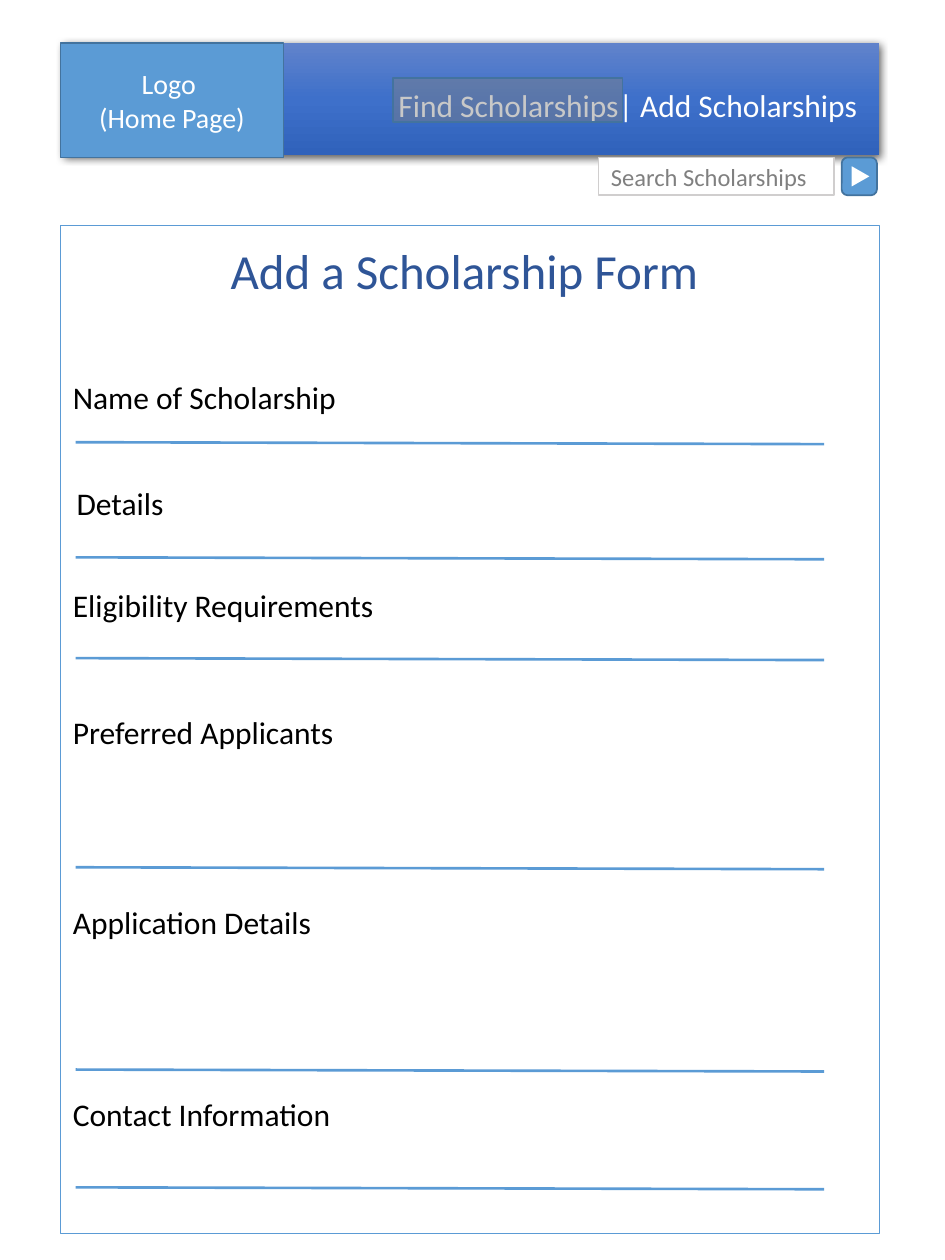
import copy
from dataclasses import dataclass

import lxml.etree
import pptx
import pptx.dml.color
import pptx.enum.shapes
import pptx.enum.text
import pptx.oxml
import pptx.oxml.ns
import pptx.util

Pt = pptx.util.Pt
SHAPE = pptx.enum.shapes.MSO_SHAPE
ALIGN = pptx.enum.text.PP_ALIGN
ANCHOR = pptx.enum.text.MSO_ANCHOR
FIT = pptx.enum.text.MSO_AUTO_SIZE
qn = pptx.oxml.ns.qn


@dataclass(frozen=True)
class Theme:
    font: str = "Calibri"
    white: str = "FFFFFF"
    black: str = "000000"
    blue: str = "5B9BD5"
    edge: str = "43739E"
    title: str = "2F5597"
    grey: str = "808080"
    pale: str = "D0CECE"
    banner: tuple[str, ...] = ("6183CB", "3E70CA", "3062BB")
    title_size: int = 28
    body_size: int = 18
    logo_size: int = 16
    search_size: int = 14
    border: float = 1
    rule: float = 1.5


@dataclass(frozen=True)
class Box:
    left: float
    top: float
    width: float
    height: float


@dataclass(frozen=True)
class Field:
    label: str
    top: float
    width: float
    rule_top: float
    left: float = 34.56


THEME = Theme()
RULE_LEFT, RULE_RIGHT, RULE_DROP = 43.2, 470.9, 1.1
FIELDS = [
    Field("Name of Scholarship", 212.4, 166.3, 252.7),
    Field("Details", 272.9, 64.8, 318.5, left=36.72),
    Field("Eligibility Requirements", 331.2, 187.9, 376.1),
    Field("Preferred Applicants", 403.9, 169.2, 495.6),
    Field("Application Details", 512.6, 152.6, 611.2),
    Field("Contact Information", 622.1, 163.4, 678.5),
]


def rgb(color: str) -> pptx.dml.color.RGBColor:
    return pptx.dml.color.RGBColor.from_string(color)


def place(sp, box: Box) -> None:
    sp.left, sp.top = Pt(box.left), Pt(box.top)
    sp.width, sp.height = Pt(box.width), Pt(box.height)


def add_box(s, box: Box, fill: str, line: str | None = None, kind=SHAPE.RECTANGLE):
    sp = s.shapes.add_shape(kind, 0, 0, 0, 0)
    place(sp, box)
    sp.shadow.inherit = False
    sp.fill.solid()
    sp.fill.fore_color.rgb = rgb(fill)
    if line:
        sp.line.color.rgb = rgb(line)
        sp.line.width = Pt(THEME.border)
    else:
        sp.line.fill.background()
    return sp


def write(sp, lines: list[str], size: int, color: str, align=ALIGN.LEFT,
          anchor=ANCHOR.TOP, wrap: bool = True, spacing: float = 1,
          fit=FIT.NONE) -> None:
    tf = sp.text_frame
    tf.word_wrap = wrap
    tf.auto_size = fit
    tf.vertical_anchor = anchor
    for i, line in enumerate(lines):
        p = tf.paragraphs[0] if i == 0 else tf.add_paragraph()
        p.alignment = align
        p.line_spacing = spacing
        r = p.add_run()
        r.text = line
        r.font.name = THEME.font
        r.font.size = Pt(size)
        r.font.color.rgb = rgb(color)


def add_text(s, box: Box, text: str, **style):
    sp = s.shapes.add_textbox(0, 0, 0, 0)
    place(sp, box)
    write(sp, [text], THEME.body_size, fit=FIT.SHAPE_TO_FIT_TEXT, **style)
    return sp


def set_alpha(sp, percent: int) -> None:
    color = sp.fill.fore_color
    clr = sp.element.spPr.find(qn("a:solidFill")).find(qn("a:srgbClr"))
    if color.rgb is not None:
        lxml.etree.SubElement(clr, qn("a:alpha")).set("val", str(percent * 1000))


def style_banner(sp) -> None:
    """Apply the three-stop vertical gradient and the soft drop shadow."""
    sp.fill.gradient()
    sp.fill.gradient_angle = 270
    stops = sp.element.spPr.find(qn("a:gradFill")).find(qn("a:gsLst"))
    stops.insert(1, copy.deepcopy(stops[0]))
    for i, (stop, color) in enumerate(zip(sp.fill.gradient_stops, THEME.banner)):
        stop.position = i / 2
        stop.color.rgb = rgb(color)
    effects = sp.element.spPr.find(qn("a:effectLst"))
    shadow = lxml.etree.SubElement(effects, qn("a:outerShdw"))
    for key, value in (("blurRad", Pt(4.5)), ("dist", Pt(1.5)), ("dir", 90 * 60000)):
        shadow.set(key, str(int(value)))
    clr = lxml.etree.SubElement(shadow, qn("a:srgbClr"))
    clr.set("val", THEME.black)
    lxml.etree.SubElement(clr, qn("a:alpha")).set("val", "63000")


def add_header(s) -> None:
    style_banner(add_box(s, Box(36.72, 24.48, 465.84, 64.08), THEME.blue))
    add_text(s, Box(180, 34.56, 321.1, 40.3), " Find Scholarships| Add Scholarships ",
             color=THEME.white, align=ALIGN.RIGHT, spacing=1.5)
    search = add_box(s, Box(342, 90, 134.64, 21.6), THEME.white, THEME.pale)
    write(search, ["Search Scholarships"], THEME.search_size, THEME.grey,
          anchor=ANCHOR.MIDDLE)
    add_box(s, Box(480.96, 90, 20.16, 21.6), THEME.blue, THEME.edge,
            SHAPE.ROUNDED_RECTANGLE)
    arrow = add_box(s, Box(486, 95.76, 11.52, 10.08), THEME.white,
                    kind=SHAPE.ISOSCELES_TRIANGLE)
    arrow.rotation = 90
    logo = add_box(s, Box(34.56, 24.48, 127.44, 65.52), THEME.blue, THEME.edge)
    write(logo, ["Logo ", "(Home Page)"], THEME.logo_size, THEME.white,
          align=ALIGN.CENTER, anchor=ANCHOR.MIDDLE)
    highlight = add_box(s, Box(224.64, 44.64, 131.04, 25.2), THEME.grey, THEME.edge)
    set_alpha(highlight, 43)


def add_title(s) -> None:
    title = s.shapes.title
    s.shapes.element.append(title.element)  # bring in front of the form frame
    place(title, Box(124.56, 133.92, 285.12, 41.04))
    title.fill.solid()
    title.fill.fore_color.rgb = rgb(THEME.white)
    write(title, ["Add a Scholarship Form"], THEME.title_size, THEME.title,
          wrap=False, fit=FIT.SHAPE_TO_FIT_TEXT)


def add_field(s, field: Field) -> None:
    add_text(s, Box(field.left, field.top, field.width, 29.08), field.label,
             color=THEME.black, wrap=False)
    rule = s.shapes.add_connector(
        pptx.enum.shapes.MSO_CONNECTOR.STRAIGHT, Pt(RULE_LEFT), Pt(field.rule_top),
        Pt(RULE_RIGHT), Pt(field.rule_top + RULE_DROP))
    rule.line.color.rgb = rgb(THEME.blue)
    rule.line.width = Pt(THEME.rule)
    lxml.etree.SubElement(rule.element.spPr, qn("a:effectLst"))


def main() -> None:
    prs = pptx.Presentation()
    prs.slide_width, prs.slide_height = Pt(540), Pt(720)
    s = prs.slides.add_slide(prs.slide_layouts.get_by_name("Title Only"))
    add_box(s, Box(34.56, 128.9, 468, 576), THEME.white, THEME.blue)
    add_header(s)
    add_title(s)
    for field in FIELDS:
        add_field(s, field)
    prs.save("out.pptx")


if __name__ == "__main__":
    main()
